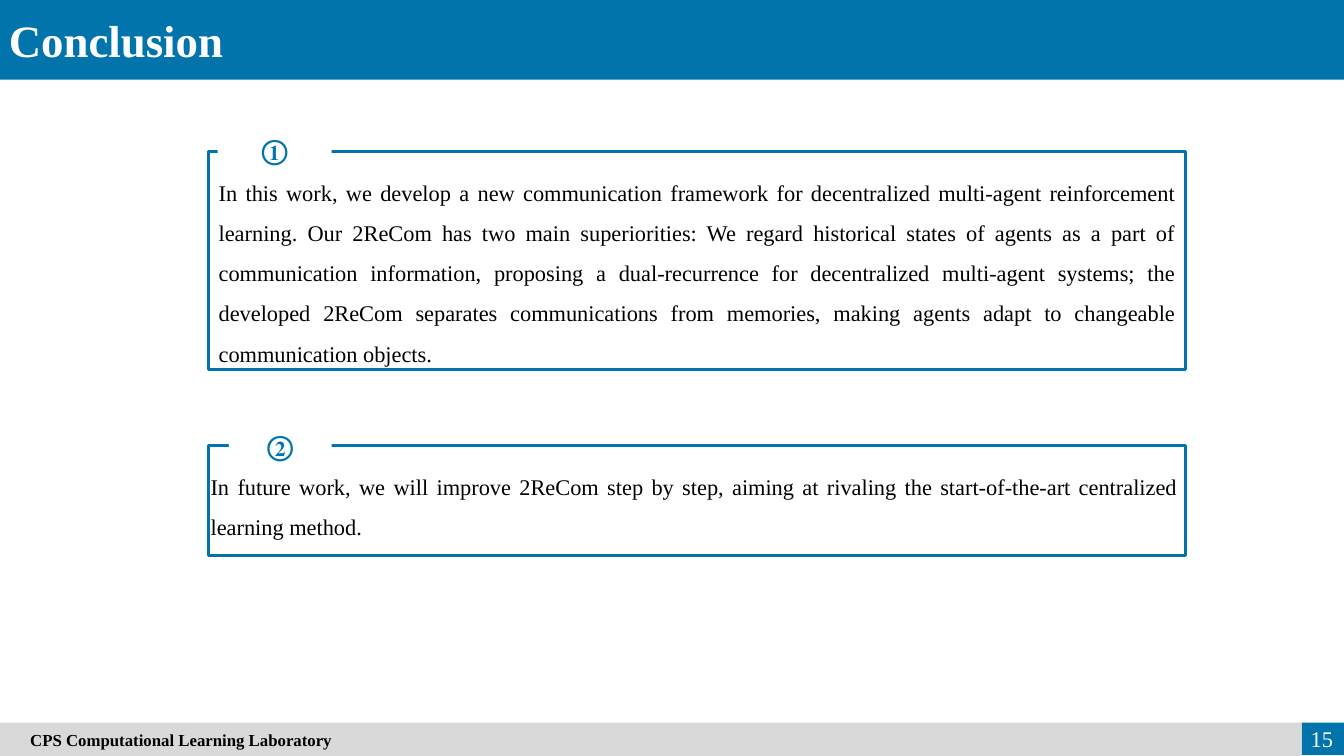
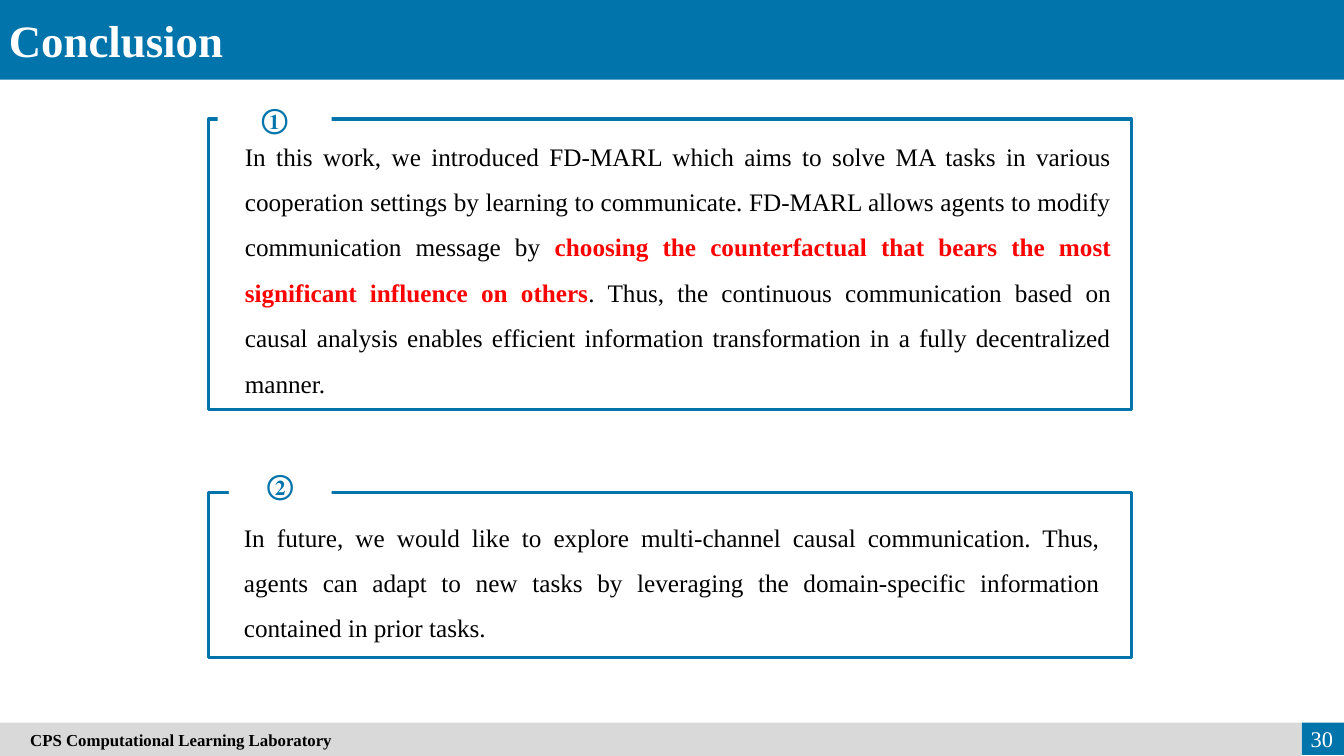
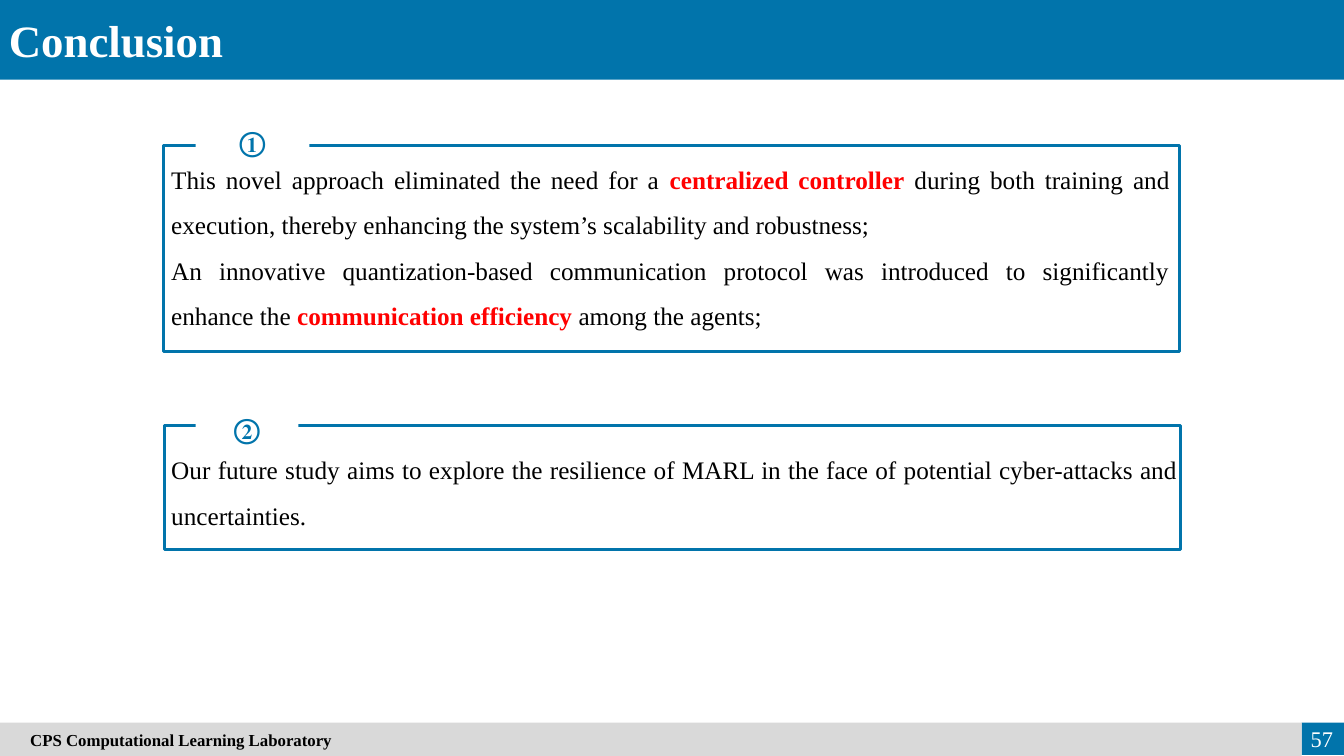
from dataclasses import dataclass

from lxml import etree
from pptx import Presentation
from pptx.dml.color import RGBColor
from pptx.enum.shapes import MSO_SHAPE
from pptx.enum.text import MSO_ANCHOR, PP_ALIGN
from pptx.oxml.ns import qn
from pptx.util import Inches, Pt

RECTANGLE = MSO_SHAPE.RECTANGLE
TOP, MIDDLE = MSO_ANCHOR.TOP, MSO_ANCHOR.MIDDLE
LEFT, CENTER, RIGHT, JUSTIFY = PP_ALIGN.LEFT, PP_ALIGN.CENTER, PP_ALIGN.RIGHT, PP_ALIGN.JUSTIFY
COLUMNS, ROWS, CELL = 133.33, 75, 0.1


@dataclass(frozen=True)
class Theme:
    """Colours, font and type sizes shared by the slides."""
    blue: str = "0174AB"
    grey: str = "D9D9D9"
    white: str = "FFFFFF"
    black: str = "000000"
    red: str = "FF0000"
    font: str = "Times New Roman"
    title: int = 32
    badge: int = 20
    body: int = 18
    compact: int = 16
    footer: int = 12
    outline: float = 2.25


@dataclass(frozen=True)
class Box:
    """A rectangle measured in grid columns and rows."""
    left: float
    top: float
    width: float
    height: float

    def place(self, left, top, width, height):
        """Return a box offset from this box's top left corner."""
        return Box(self.left + left, self.top + top, width, height)

    def lengths(self):
        """Return the four sides as slide lengths."""
        return [Inches(round(value * CELL, 2))
                for value in (self.left, self.top, self.width, self.height)]


@dataclass(frozen=True)
class Panel:
    """A numbered statement with its frame, badge and text places."""
    frame: Box
    badge: tuple
    text: tuple
    paragraphs: tuple


THEME = Theme()
PAGE = Box(0, 0, COLUMNS, ROWS)


def add_rectangle(slide, box, fill=None, line=None):
    """Add a flat rectangle with an optional fill and outline."""
    shape = slide.shapes.add_shape(RECTANGLE, *box.lengths())
    shape.shadow.inherit = False
    if fill:
        shape.fill.solid()
        shape.fill.fore_color.rgb = RGBColor.from_string(fill)
    else:
        shape.fill.background()
    if line:
        shape.line.color.rgb = RGBColor.from_string(line)
        shape.line.width = Pt(THEME.outline)
    else:
        shape.line.fill.background()
    return shape


def add_run(paragraph, text, size, color, bold):
    """Append one formatted run to a paragraph."""
    run = paragraph.add_run()
    run.text = text
    formats = {"name": THEME.font, "size": Pt(size), "bold": bold}
    for name, value in formats.items():
        setattr(run.font, name, value)
    run.font.color.rgb = RGBColor.from_string(color)
    east_asian = etree.SubElement(run.font._element, qn("a:ea"))
    east_asian.set("typeface", THEME.font)


def write(shape, paragraphs, size, color, bold=False, align=LEFT, anchor=TOP, spacing=1.0):
    """Write paragraphs, showing parts between double asterisks in bold red."""
    frame = shape.text_frame
    frame.word_wrap = True
    frame.vertical_anchor = anchor
    for number, text in enumerate(paragraphs):
        paragraph = frame.add_paragraph() if number else frame.paragraphs[0]
        for name, value in {"alignment": align, "line_spacing": spacing}.items():
            setattr(paragraph, name, value)
        for index, part in enumerate(text.split("**")):
            emphasised = index % 2 == 1
            add_run(paragraph, part, size, THEME.red if emphasised else color,
                    bold or emphasised)


def add_text(slide, box, paragraphs, **formats):
    """Add a wrapping text box."""
    write(slide.shapes.add_textbox(*box.lengths()), paragraphs, **formats)


def add_header(slide, box, title):
    """Draw the title band."""
    add_rectangle(slide, box, fill=THEME.blue)
    add_text(slide, box.place(-0.1, 0.8, 53.7, 6.4), [title], size=THEME.title,
             color=THEME.white, bold=True, align=JUSTIFY)


def add_footer(slide, box, page_number):
    """Draw the laboratory band and the page number."""
    number_width = 4.2
    band_width = box.width - number_width
    add_rectangle(slide, box.place(band_width, 0, number_width, 3.2), fill=THEME.blue)
    band = add_rectangle(slide, box.place(0, 0, band_width, box.height), fill=THEME.grey)
    band.text_frame.margin_left = Inches(0.3)
    write(band, ["CPS Computational Learning Laboratory"], size=THEME.footer,
          color=THEME.black, bold=True, anchor=MIDDLE)
    add_text(slide, box.place(band_width - 2.2, -0.4, 6.3, 4), [str(page_number)],
             size=THEME.compact, color=THEME.white, align=RIGHT, anchor=MIDDLE)


def add_panel(slide, panel, symbol, size):
    """Draw a frame whose top edge is broken by its number."""
    add_rectangle(slide, panel.frame, line=THEME.blue)
    badge = add_rectangle(slide, panel.frame.place(*panel.badge), fill=THEME.white)
    write(badge, [symbol], size=THEME.badge, color=THEME.blue, bold=True,
          align=CENTER, anchor=MIDDLE)
    add_text(slide, panel.frame.place(*panel.text), panel.paragraphs, size=size,
             color=THEME.black, align=JUSTIFY, spacing=1.5)


def add_conclusion(presentation, page_number, size, panels):
    """Add one conclusion slide."""
    slide = presentation.slides.add_slide(presentation.slide_layouts[6])
    add_header(slide, PAGE.place(0, 0, COLUMNS, 7.9), "Conclusion")
    add_footer(slide, PAGE.place(0, 71.7, COLUMNS, 3.3), page_number)
    for symbol, panel in zip("①②", panels):
        add_panel(slide, panel, symbol, size)


CONCLUSIONS = (
    (15, THEME.compact, (
        Panel(Box(20.7, 15, 96.9, 21.7), (0.9, -2.9, 11.3, 5.5), (0, 0.9, 96.9, 19.1), (
            "In this work, we develop a new communication framework for decentralized "
            "multi-agent reinforcement learning. Our 2ReCom has two main superiorities: "
            "We regard historical states of agents as a part of communication information, "
            "proposing a dual-recurrence for decentralized multi-agent systems; the developed "
            "2ReCom separates communications from memories, making agents adapt to "
            "changeable communication objects.",)),
        Panel(Box(20.7, 44.2, 96.9, 10.9), (2, -2.8, 10.2, 5.5), (-0.8, 0.9, 97.9, 9.1), (
            "In future work, we will improve 2ReCom step by step, aiming at rivaling the "
            "start-of-the-art centralized learning method.",)),
    )),
    (30, THEME.body, (
        Panel(Box(20.7, 11.8, 91.5, 28.8), (0.9, -2.8, 11.3, 5.5), (2.6, 0.2, 87.9, 24.9), (
            "In this work, we introduced FD-MARL which aims to solve MA tasks in various "
            "cooperation settings by learning to communicate. FD-MARL allows agents to modify "
            "communication message by **choosing the counterfactual that bears the most "
            "significant influence on others**. Thus, the continuous communication based on "
            "causal analysis enables efficient information transformation in a fully "
            "decentralized manner.",)),
        Panel(Box(20.7, 48.9, 91.5, 16.3), (2, -3.6, 10.2, 5.5), (2.5, 0.9, 86.9, 14.6), (
            "In future, we would like to explore multi-channel causal communication. Thus, "
            "agents can adapt to new tasks by leveraging the domain-specific information "
            "contained in prior tasks.",)),
    )),
    (57, THEME.body, (
        Panel(Box(16.2, 14.4, 100.8, 20.5), (3.2, -3.1, 11.3, 5.5), (-0.2, -0.1, 101, 18.8), (
            "This novel approach eliminated the need for a **centralized controller** during "
            "both training and execution, thereby enhancing the system’s scalability and "
            "robustness;",
            "An innovative quantization-based communication protocol was introduced to "
            "significantly enhance the **communication efficiency** among the agents;")),
        Panel(Box(16.3, 42.2, 100.8, 12.3), (3.1, -2.5, 10.2, 5.5), (-0.3, 0.9, 101.8, 9.9), (
            "Our future study aims to explore the resilience of MARL in the face of potential "
            "cyber-attacks and uncertainties.",)),
    )),
)


def main():
    """Build and save the presentation."""
    presentation = Presentation()
    presentation.slide_width = Inches(13.33)
    presentation.slide_height = Inches(7.5)
    for conclusion in CONCLUSIONS:
        add_conclusion(presentation, *conclusion)
    presentation.save("out.pptx")


if __name__ == "__main__":
    main()
